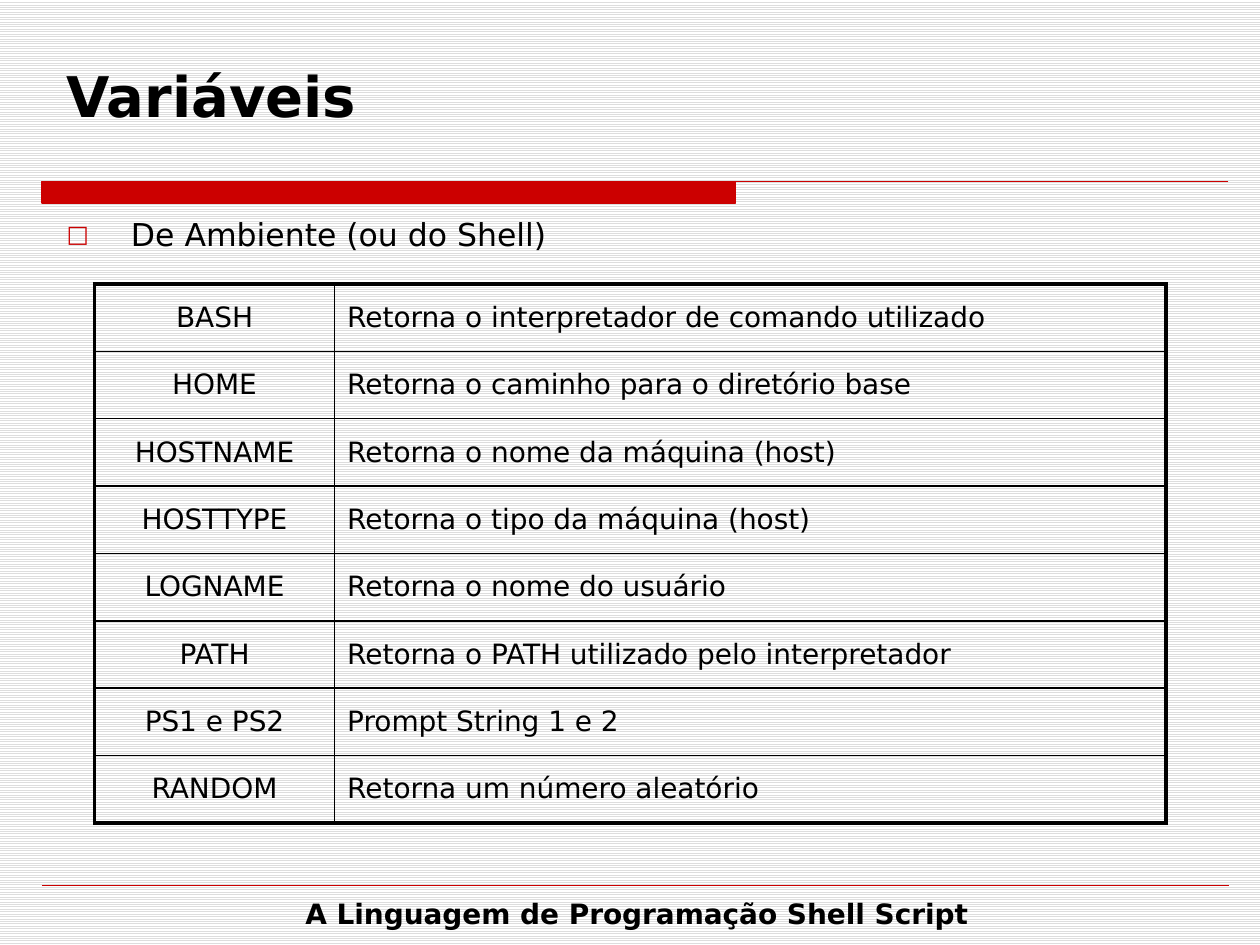
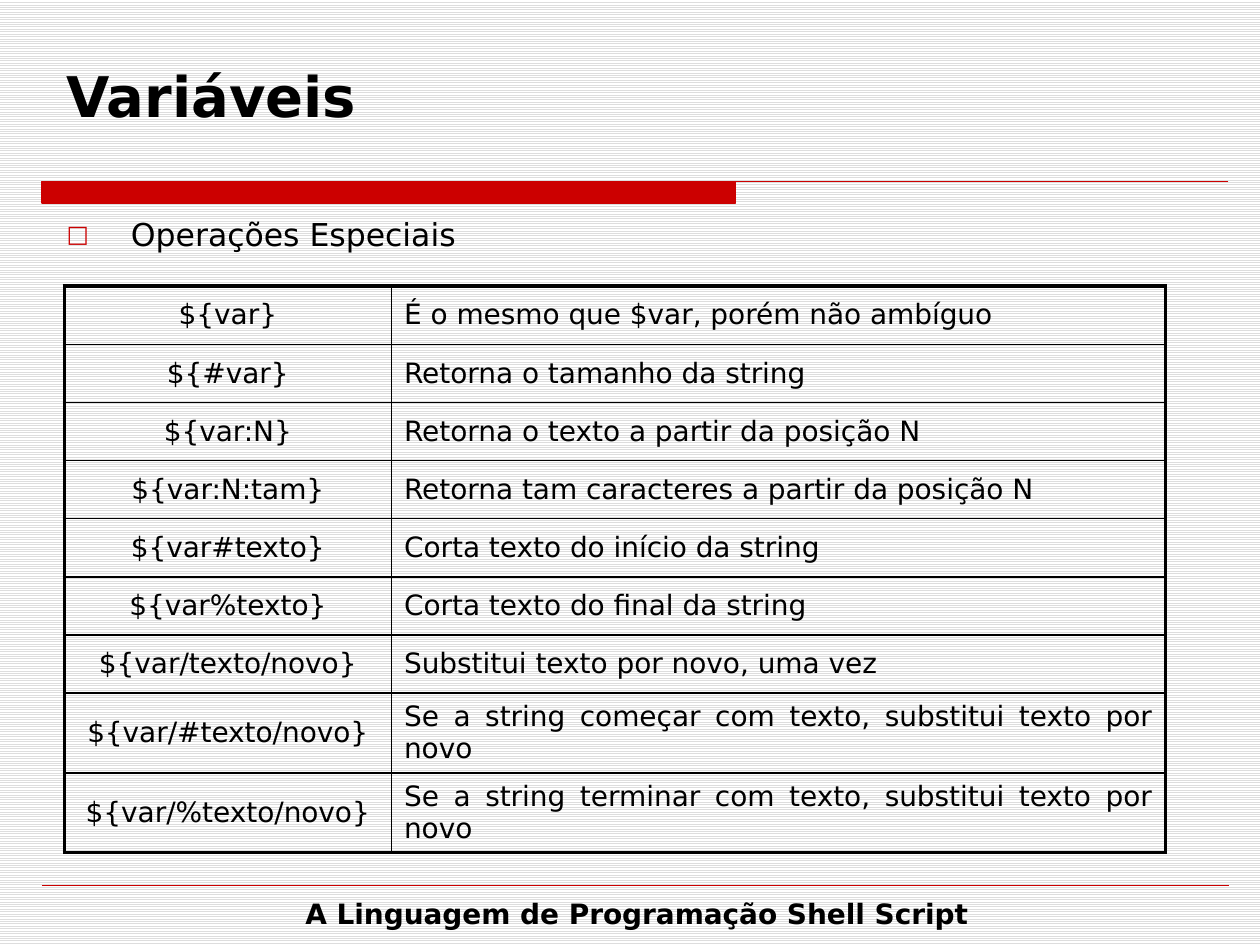
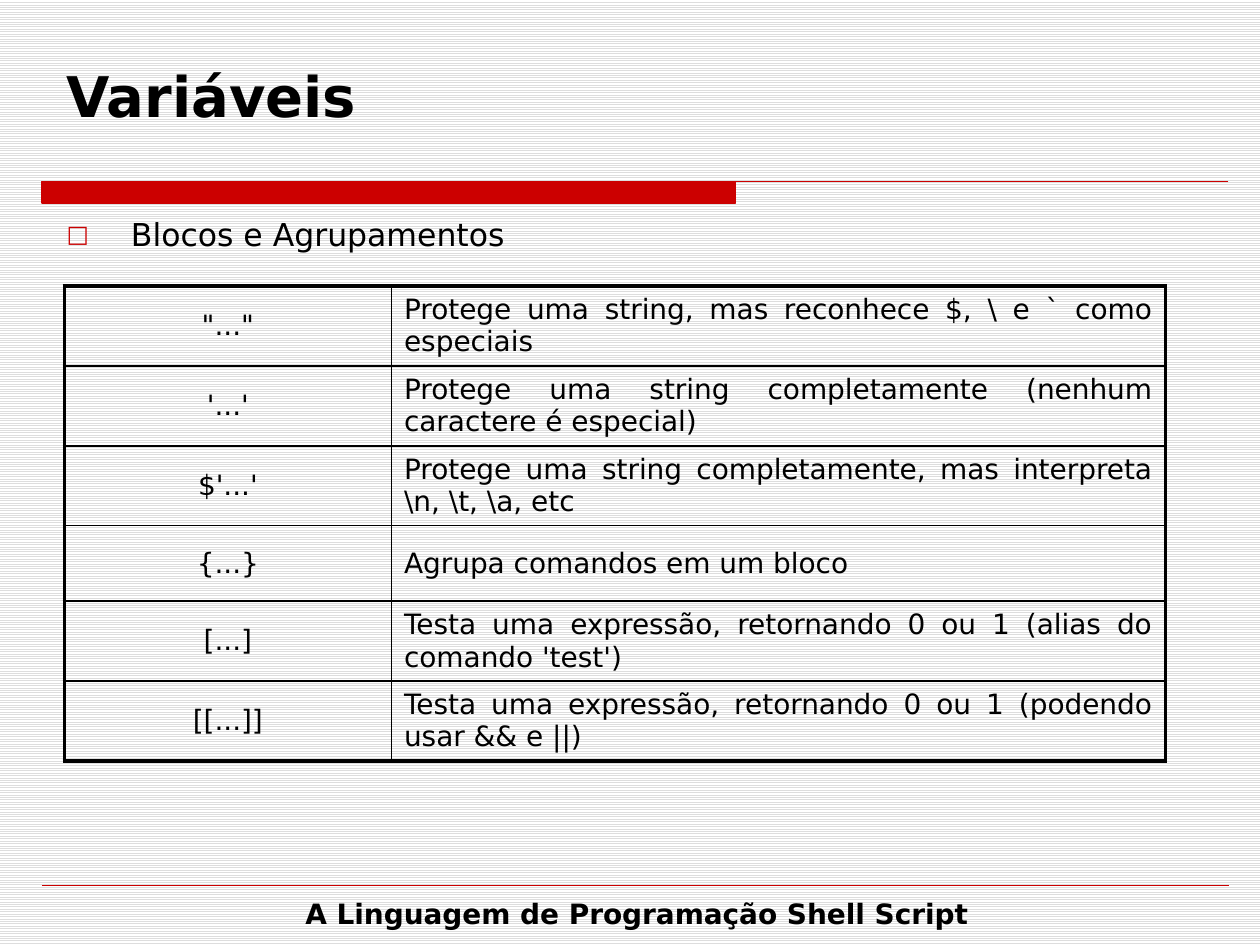
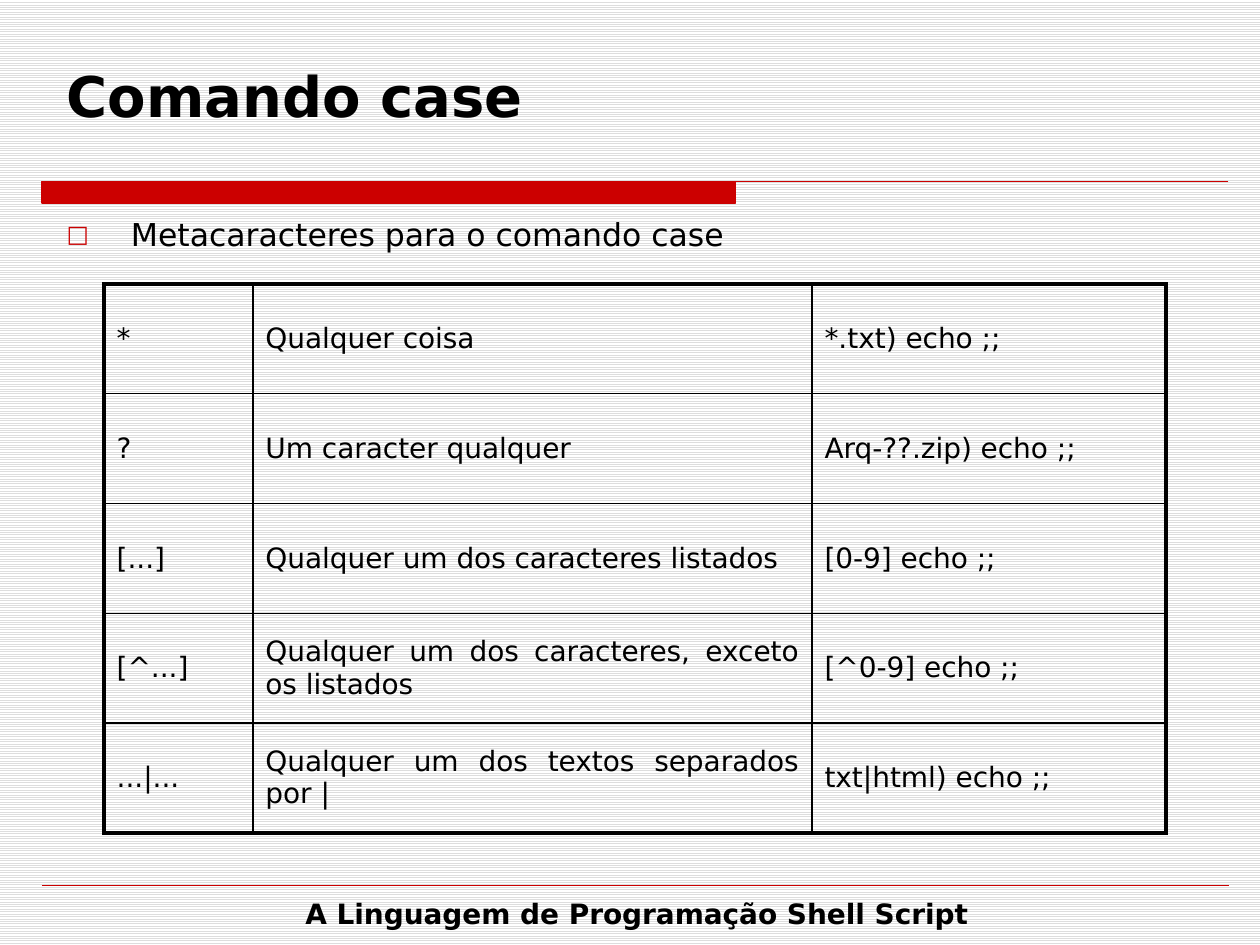
from dataclasses import dataclass

from lxml import etree
from pptx import Presentation
from pptx.dml.color import RGBColor
from pptx.enum.dml import MSO_PATTERN
from pptx.enum.shapes import MSO_CONNECTOR
from pptx.enum.text import MSO_ANCHOR, PP_ALIGN
from pptx.oxml import parse_xml
from pptx.oxml.ns import nsdecls, qn
from pptx.util import Pt

# Shared look
RED = RGBColor(0xCC, 0x00, 0x00)
BLACK = RGBColor(0x00, 0x00, 0x00)
WHITE = RGBColor(0xFF, 0xFF, 0xFF)
STRIPE_GRAY = RGBColor(0xDD, 0xDD, 0xDD)
LEFT, CENTER, JUSTIFY = PP_ALIGN.LEFT, PP_ALIGN.CENTER, PP_ALIGN.JUSTIFY
TOP, MIDDLE = MSO_ANCHOR.TOP, MSO_ANCHOR.MIDDLE
STRIPES = MSO_PATTERN.LIGHT_HORIZONTAL
STRAIGHT = MSO_CONNECTOR.STRAIGHT

FONT = "DejaVu Sans"
FOOTER = "A Linguagem de Programação Shell Script"
RULE_LEFT, RULE_RIGHT = Pt(24), Pt(702)
BAND_TOP, BAND_BOTTOM, BAND_RIGHT = Pt(103.75), Pt(116), Pt(420.5)
FOOTER_RULE_TOP = Pt(506)
BULLET_INDENT = Pt(36.75)
THICK, THIN = Pt(2.25), Pt(1)


@dataclass(frozen=True)
class TextStyle:
    size: float
    bold: bool = False
    align: PP_ALIGN = LEFT
    anchor: MSO_ANCHOR = MIDDLE


@dataclass(frozen=True)
class Box:
    left: float
    top: float
    width: float
    height: float


@dataclass(frozen=True)
class Grid:
    left: float
    top: float
    columns: tuple[float, ...]
    row_height: float
    aligns: tuple[PP_ALIGN, ...]
    rows: tuple[tuple[str, ...], ...]


@dataclass(frozen=True)
class Page:
    title: str
    topic: str
    grid: Grid


TITLE_STYLE = TextStyle(32, bold=True)
TOPIC_STYLE = TextStyle(18, align=JUSTIFY, anchor=TOP)
FOOTER_STYLE = TextStyle(16, bold=True, align=CENTER)
TITLE_BOX = Box(31, 12.25, 664.5, 84.25)
TOPIC_BOX = Box(31, 119.5, 665.25, 378.75)
FOOTER_BOX = Box(30.25, 511.25, 667.5, 21)

# Content
PAGES = (
    Page("Variáveis", "De Ambiente (ou do Shell)", Grid(
        54, 162.25, (137.25, 475), 38.5, (CENTER, JUSTIFY), (
            ("BASH", "Retorna o interpretador de comando utilizado"),
            ("HOME", "Retorna o caminho para o diretório base"),
            ("HOSTNAME", "Retorna o nome da máquina (host)"),
            ("HOSTTYPE", "Retorna o tipo da máquina (host)"),
            ("LOGNAME", "Retorna o nome do usuário"),
            ("PATH", "Retorna o PATH utilizado pelo interpretador"),
            ("PS1 e PS2", "Prompt String 1 e 2"),
            ("RANDOM", "Retorna um número aleatório"),
        ))),
    Page("Variáveis", "Operações Especiais", Grid(
        36.75, 163.5, (187, 442.25), 33.25, (CENTER, JUSTIFY), (
            ("${var}", "É o mesmo que $var, porém não ambíguo"),
            ("${#var}", "Retorna o tamanho da string"),
            ("${var:N}", "Retorna o texto a partir da posição N"),
            ("${var:N:tam}", "Retorna tam caracteres a partir da posição N"),
            ("${var#texto}", "Corta texto do início da string"),
            ("${var%texto}", "Corta texto do final da string"),
            ("${var/texto/novo}", "Substitui texto por novo, uma vez"),
            ("${var/#texto/novo}",
             "Se a string começar com texto, substitui texto por novo"),
            ("${var/%texto/novo}",
             "Se a string terminar com texto, substitui texto por novo"),
        ))),
    Page("Variáveis", "Blocos e Agrupamentos", Grid(
        36.75, 163.5, (187, 442.25), 43.25, (CENTER, JUSTIFY), (
            ('"..."', "Protege uma string, mas reconhece $, \\ e ` como especiais"),
            ("'...'",
             "Protege uma string completamente (nenhum caractere é especial)"),
            ("$'...'",
             "Protege uma string completamente, mas interpreta \\n, \\t, \\a, etc"),
            ("{...}", "Agrupa comandos em um bloco"),
            ("[...]",
             "Testa uma expressão, retornando 0 ou 1 (alias do comando 'test')"),
            ("[[...]]",
             "Testa uma expressão, retornando 0 ou 1 (podendo usar && e ||)"),
        ))),
    Page("Comando case", "Metacaracteres para o comando case", Grid(
        59.5, 162.25, (85, 319.5, 202.25), 62.75, (JUSTIFY,) * 3, (
            ("*", "Qualquer coisa", "*.txt) echo ;;"),
            ("?", "Um caracter qualquer", "Arq-??.zip) echo ;;"),
            ("[...]", "Qualquer um dos caracteres listados", "[0-9] echo ;;"),
            ("[^...]", "Qualquer um dos caracteres, exceto os listados",
             "[^0-9] echo ;;"),
            ("...|...", "Qualquer um dos textos separados por |",
             "txt|html) echo ;;"),
        ))),
)


def format_paragraph(paragraph, style: TextStyle) -> None:
    paragraph.alignment = style.align
    font_format = {"name": FONT, "size": Pt(style.size), "bold": style.bold}
    for attribute, value in font_format.items():
        setattr(paragraph.font, attribute, value)
    paragraph.font.color.rgb = BLACK


def add_bullet(paragraph) -> None:
    """Hang a red square in front of the paragraph."""
    properties = paragraph._p.get_or_add_pPr()
    properties.set("marL", str(BULLET_INDENT))
    properties.set("indent", str(-BULLET_INDENT))
    color = etree.SubElement(properties, qn("a:buClr"))
    etree.SubElement(color, qn("a:srgbClr"), val=str(RED))
    etree.SubElement(properties, qn("a:buSzPct"), val="75000")
    etree.SubElement(properties, qn("a:buFont"), typeface=FONT)
    etree.SubElement(properties, qn("a:buChar"), char="□")


def add_text(slide, text: str, box: Box, style: TextStyle,
             bulleted: bool = False) -> None:
    frame = slide.shapes.add_textbox(
        Pt(box.left), Pt(box.top), Pt(box.width), Pt(box.height)).text_frame
    frame.word_wrap = True
    frame.vertical_anchor = style.anchor
    paragraph = frame.paragraphs[0]
    paragraph.text = text
    if bulleted:
        add_bullet(paragraph)
    format_paragraph(paragraph, style)


def add_frame(slide) -> None:
    """Draw the striped background, title band and footer."""
    background = slide.background.fill
    background.patterned()
    background.pattern = STRIPES
    background.fore_color.rgb = STRIPE_GRAY
    background.back_color.rgb = WHITE

    # Half-width band and full-width rule under the title
    outline = slide.shapes.build_freeform(RULE_LEFT, BAND_TOP)
    outline.add_line_segments(
        [(BAND_RIGHT, BAND_TOP), (BAND_RIGHT, BAND_BOTTOM),
         (RULE_LEFT, BAND_BOTTOM)], close=True)
    outline.move_to(RULE_LEFT, BAND_TOP)
    outline.add_line_segments([(RULE_RIGHT, BAND_TOP)], close=False)
    band = outline.convert_to_shape()
    band.shadow.inherit = False
    band.fill.solid()
    band.fill.fore_color.rgb = RED
    band.line.color.rgb = RED
    band.line.width = Pt(0.75)

    # Footer
    footer_rule = slide.shapes.add_connector(
        STRAIGHT, RULE_LEFT, FOOTER_RULE_TOP, RULE_RIGHT, FOOTER_RULE_TOP)
    footer_rule.line.color.rgb = RED
    footer_rule.line.width = Pt(0.25)
    etree.SubElement(footer_rule._element.spPr, qn("a:effectLst"))
    add_text(slide, FOOTER, FOOTER_BOX, FOOTER_STYLE)


def set_borders(cell, outer_sides: dict[str, bool]) -> None:
    """Draw thick borders on the outer sides and thin ones elsewhere."""
    properties = cell._tc.get_or_add_tcPr()
    for position, (side, is_outer) in enumerate(outer_sides.items()):
        width = THICK if is_outer else THIN
        properties.insert(position, parse_xml(
            f'<a:ln{side} {nsdecls("a")} w="{width}"><a:solidFill>'
            f'<a:srgbClr val="{BLACK}"/></a:solidFill></a:ln{side}>'))


def add_grid(slide, grid: Grid) -> None:
    row_count, column_count = len(grid.rows), len(grid.columns)
    table = slide.shapes.add_table(
        row_count, column_count, Pt(grid.left), Pt(grid.top),
        Pt(sum(grid.columns)), Pt(grid.row_height * row_count)).table
    table.first_row = table.horz_banding = False
    for column, width in zip(table.columns, grid.columns):
        column.width = Pt(width)
    for r, texts in enumerate(grid.rows):
        table.rows[r].height = Pt(grid.row_height)
        for c, text in enumerate(texts):
            cell = table.cell(r, c)
            cell.text = text
            cell.vertical_anchor = MIDDLE
            cell.fill.background()
            format_paragraph(cell.text_frame.paragraphs[0],
                             TextStyle(16, align=grid.aligns[c]))
            set_borders(cell, {"L": c == 0, "R": c == column_count - 1,
                               "T": r == 0, "B": r == row_count - 1})


def main() -> None:
    prs = Presentation()
    prs.slide_width, prs.slide_height = Pt(720), Pt(540)
    blank_layout = prs.slide_layouts[6]
    for page in PAGES:
        slide = prs.slides.add_slide(blank_layout)
        add_frame(slide)
        add_text(slide, page.title, TITLE_BOX, TITLE_STYLE)
        add_text(slide, page.topic, TOPIC_BOX, TOPIC_STYLE, bulleted=True)
        add_grid(slide, page.grid)
    prs.save("out.pptx")


if __name__ == "__main__":
    main()
